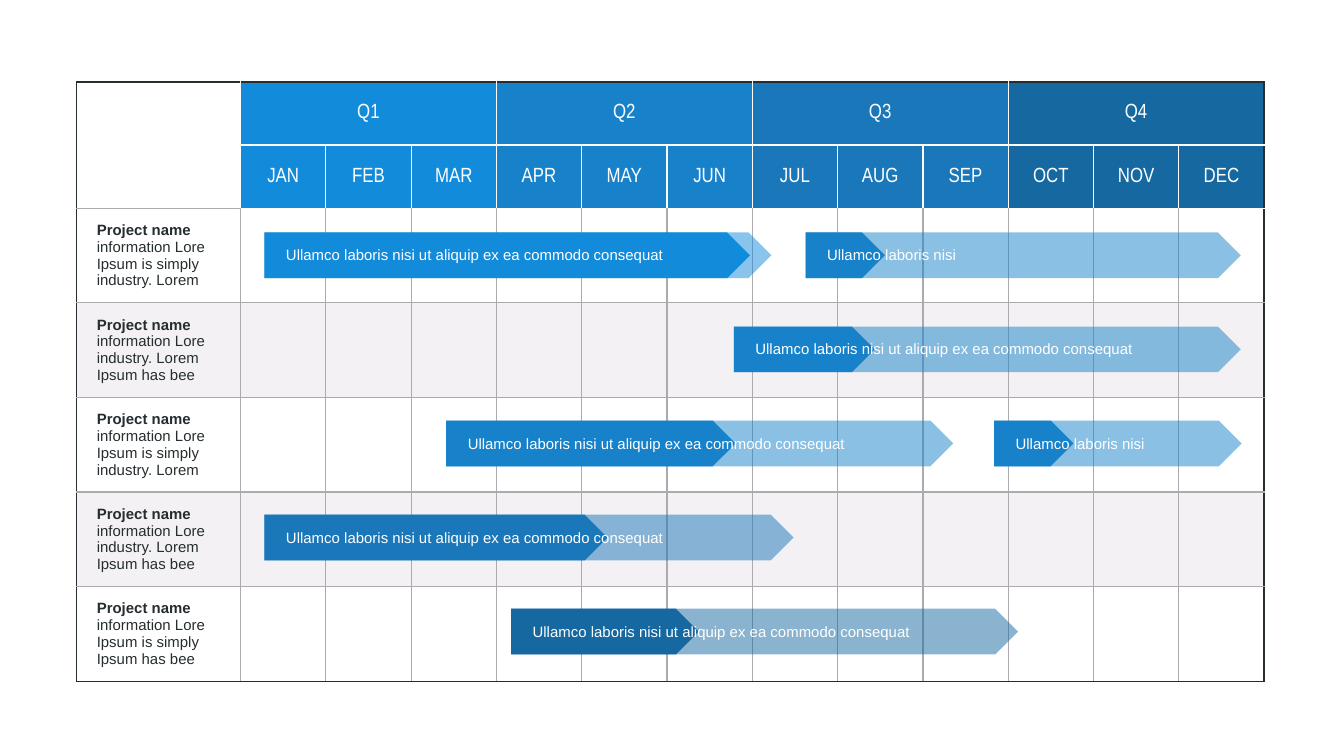
"""Build a yearly project roadmap: a month grid with progress arrows on it."""
from lxml import etree
from pptx import Presentation
from pptx import util as u
from pptx.dml.color import RGBColor
from pptx.enum import shapes, text
from pptx.oxml.ns import qn

WHITE = RGBColor(0xFF, 0xFF, 0xFF)
INK = RGBColor(0x25, 0x2D, 0x30)
GRID = RGBColor(0xAC, 0xA9, 0xAF)
BAND = RGBColor(0xE8, 0xE5, 0xE9)
SKY = RGBColor(0x13, 0x8B, 0xDB)
AZURE = RGBColor(0x17, 0x82, 0xCA)
COBALT = RGBColor(0x1A, 0x77, 0xB9)
NAVY = RGBColor(0x16, 0x68, 0xA1)
QUARTERS = [SKY, AZURE, COBALT, NAVY]

WIDTH = u.Inches(10)
HEIGHT = WIDTH * 9 // 16
LEFT, TOP = 0.57, 0.61
LABEL, MONTH = 1.22, 7.62 / 12
HEADER, ROW = 0.47, 3.52 / 5
BAR, FIRST_BAR, BAR_STEP = 0.34, 1.73, 0.7

MONTHS = "JAN FEB MAR APR MAY JUN JUL AUG SEP OCT NOV DEC".split()
PROJECTS = [
    ("information Lore Ipsum is simply industry. Lorem", WHITE, 100),
    ("information Lore industry. Lorem Ipsum has bee", BAND, 50),
    ("information Lore Ipsum is simply industry. Lorem", WHITE, 100),
    ("information Lore industry. Lorem Ipsum has bee", BAND, 50),
    ("information Lore Ipsum is simply Ipsum has bee", WHITE, 50),
]
COLUMNS, ROWS = len(MONTHS) + 1, len(PROJECTS) + 2
SHORT = "Ullamco laboris nisi"
LONG = SHORT + " ut aliquip ex ea commodo consequat"

TASKS = [
    (1, 5.78, 5.94, 1.65, AZURE, LONG),
    (0, 0.28, 5.94, 5.69, SKY, LONG),
    (3, 0.28, 6.2, 4.02, COBALT, LONG),
    (4, 3.17, 5.94, 2.2, NAVY, LONG),
    (2, 2.41, 5.94, 3.39, AZURE, LONG),
    (2, 8.83, 2.9, 0.93, AZURE, SHORT),
    (0, 6.62, 5.1, 0.93, AZURE, SHORT),
]


def paint(fill, colour, opacity=100):
    """Give a solid fill, see-through when opacity is below 100 percent."""
    fill.solid()
    fill.fore_color.rgb = colour
    if opacity < 100:
        for tag in fill._xPr.iter(qn("a:srgbClr")):
            etree.SubElement(tag, qn("a:alpha"), val=str(opacity * 1000))


def style(span, size, font, colour, bold=False):
    """Set the font of one run."""
    span.font.size, span.font.name, span.font.bold = u.Pt(size), font, bold
    span.font.color.rgb = colour


def set_margins(item, left=0.04):
    """Set the narrow insets used by cells and captions."""
    item.margin_left, item.margin_right = u.Inches(left), u.Inches(0.04)
    item.margin_top = item.margin_bottom = u.Inches(0.02)


def vertical_line(row, line):
    """Return the colour of a vertical grid line."""
    if line in (0, COLUMNS):
        return INK
    return WHITE if row < 2 else GRID


def horizontal_line(line, column):
    """Return the colour of a horizontal grid line."""
    if line in (0, ROWS):
        return INK
    return WHITE if line <= 2 and column > 0 else GRID


def add_borders(cell, row, column):
    """Draw the four borders of a cell according to its place in the grid."""
    sides = {
        "a:lnL": vertical_line(row, column),
        "a:lnR": vertical_line(row, column + cell.span_width),
        "a:lnT": horizontal_line(row, column),
        "a:lnB": horizontal_line(row + cell.span_height, column),
    }
    properties = cell._tc.get_or_add_tcPr()
    for index, (side, colour) in enumerate(sides.items()):
        line = etree.Element(qn(side), w=str(u.Pt(0.75)))
        solid = etree.SubElement(line, qn("a:solidFill"))
        etree.SubElement(solid, qn("a:srgbClr"), val=str(colour))
        properties.insert(index, line)


def write_header(cell, label, colour):
    """Fill a quarter or month heading."""
    paint(cell.fill, colour)
    set_margins(cell)
    cell.vertical_anchor = text.MSO_ANCHOR.MIDDLE
    para = cell.text_frame.paragraphs[0]
    para.text, para.alignment = label, text.PP_ALIGN.CENTER
    style(para.runs[0], 11, "Arial Narrow", WHITE)


def write_project(cell, details):
    """Write a bold project name followed by its details."""
    set_margins(cell, 0.15)
    cell.vertical_anchor = text.MSO_ANCHOR.MIDDLE
    para = cell.text_frame.paragraphs[0]
    for words, bold in (("Project name ", True), (details, False)):
        span = para.add_run()
        span.text = words
        style(span, 8, "Arial", INK, bold)


def add_calendar(page):
    """Add the table of quarters, months and projects."""
    frame = page.shapes.add_table(
        ROWS, COLUMNS, u.Inches(LEFT), u.Inches(TOP),
        u.Inches(LABEL + MONTH * 12), u.Inches(HEADER * 2 + ROW * 5))
    table = frame.table
    table.first_row = table.horz_banding = False
    for index, column in enumerate(table.columns):
        column.width = u.Inches(MONTH if index else LABEL)
    for index, row in enumerate(table.rows):
        row.height = u.Inches(HEADER if index < 2 else ROW)

    table.cell(0, 0).merge(table.cell(1, 0))
    table.cell(0, 0).fill.background()
    for index, colour in enumerate(QUARTERS):
        first = 1 + index * 3
        table.cell(0, first).merge(table.cell(0, first + 2))
        write_header(table.cell(0, first), f"Q{index + 1}", colour)
    for index, month in enumerate(MONTHS):
        write_header(table.cell(1, index + 1), month, QUARTERS[index // 3])
    for row, (details, colour, opacity) in enumerate(PROJECTS, 2):
        write_project(table.cell(row, 0), details)
        for column in range(COLUMNS):
            paint(table.cell(row, column).fill, colour, opacity)
    for row in range(ROWS):
        for column in range(COLUMNS):
            cell = table.cell(row, column)
            if not cell.is_spanned:
                add_borders(cell, row, column)


def add_arrow(group, left, top, width, colour, opacity):
    """Add one pentagon arrow to a task."""
    arrow = group.shapes.add_shape(
        shapes.MSO_SHAPE.PENTAGON, u.Inches(left), u.Inches(top),
        u.Inches(width), u.Inches(BAR))
    arrow.shadow.inherit = False
    paint(arrow.fill, colour, opacity)
    arrow.line.fill.background()


def add_task(page, row, start, planned, done, colour, caption):
    """Add a grouped task: planned arrow, completed arrow and caption."""
    left = LEFT + LABEL + start * MONTH
    top = FIRST_BAR + row * BAR_STEP
    group = page.shapes.add_group_shape()
    add_arrow(group, left, top, planned * MONTH, colour, 50)
    add_arrow(group, left, top, done * MONTH, colour, 100)
    box = group.shapes.add_textbox(
        u.Inches(left + 0.12), u.Inches(top + 0.08),
        u.Inches(3.11 if caption == LONG else 1.43), u.Inches(0.18))
    box.text_frame.word_wrap = True
    set_margins(box.text_frame)
    box.text_frame.text = caption
    style(box.text_frame.paragraphs[0].runs[0], 8, "Arial", WHITE)


def main():
    """Build and save the deck."""
    deck = Presentation()
    deck.slide_width, deck.slide_height = WIDTH, HEIGHT
    page = deck.slides.add_slide(deck.slide_layouts[6])
    add_calendar(page)
    for task in TASKS:
        add_task(page, *task)
    deck.save("out.pptx")


if __name__ == "__main__":
    main()
